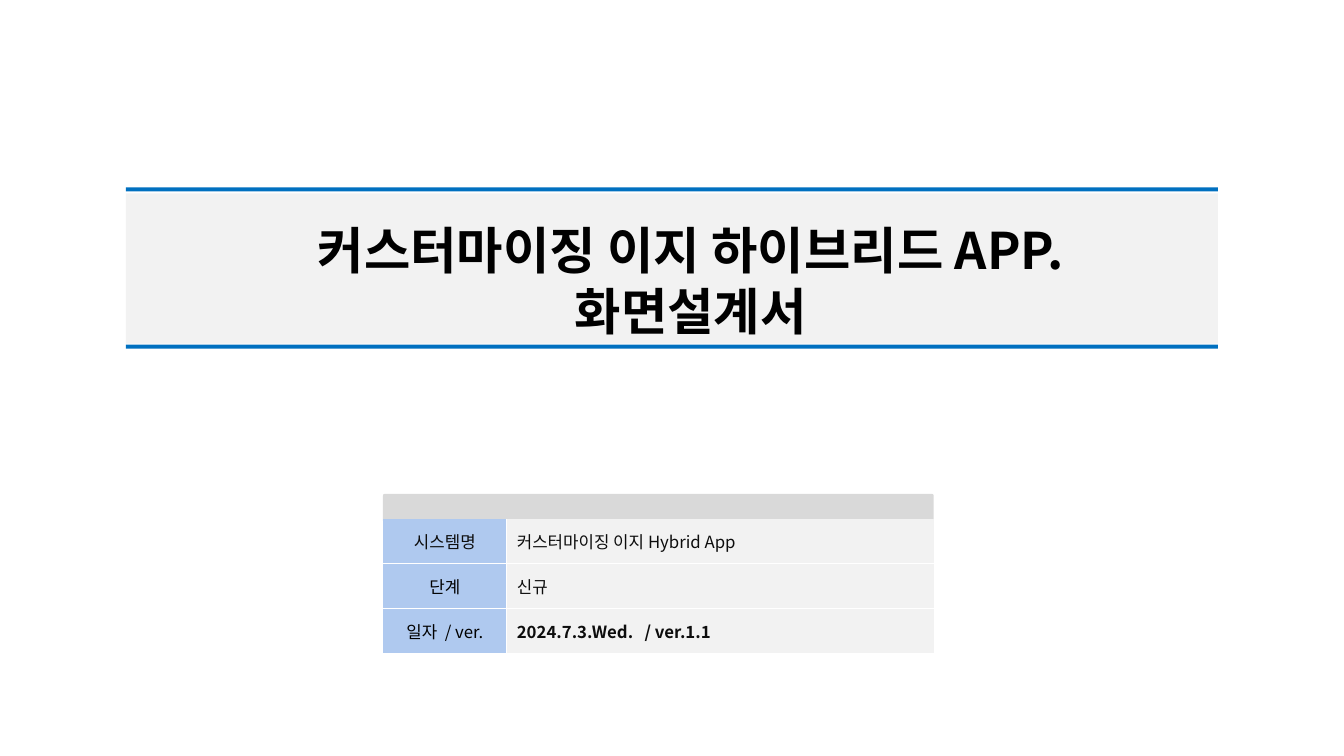
from collections import namedtuple

from lxml.etree import SubElement
from pptx import Presentation
from pptx.dml.color import RGBColor
from pptx.enum.shapes import MSO_SHAPE
from pptx.enum.text import MSO_ANCHOR, MSO_AUTO_SIZE, PP_ALIGN
from pptx.oxml.ns import qn
from pptx.util import Pt

Box = namedtuple("Box", "left top width height")

COLOURS = {
    "band": "F2F2F2",
    "rule": "0070C0",
    "header": "D9D9D9",
    "label": "AFC9EF",
    "border": "FFFFFF",
    "black": "000000",
    "dark": "0D0D0D",
}
FONT = "Noto Sans CJK KR"
TITLE_LINES = ["커스터마이징 이지 하이브리드 APP.", "화면설계서"]
DETAILS = [
    ("시스템명", "커스터마이징 이지 Hybrid App"),
    ("단계", "신규"),
    ("일자  / ver.", "2024.7.3.Wed.   / ver.1.1"),
]


def colour(name):
    return RGBColor.from_string(COLOURS[name])


def place(shape, box):
    for name, value in box._asdict().items():
        setattr(shape, name, Pt(value))


def add_block(page, kind, box, fill):
    block = page.shapes.add_shape(kind, *map(Pt, box))
    block.shadow.inherit = False
    block.fill.solid()
    block.fill.fore_color.rgb = colour(fill)
    block.line.fill.background()
    return block


def write(para, text, size, fill, bold, align):
    para.alignment = align
    span = para.add_run()
    span.text = text
    for name, value in {"name": FONT, "size": Pt(size), "bold": bold}.items():
        setattr(span.font, name, value)
    span.font.color.rgb = colour(fill)
    SubElement(span.font._element, qn("a:ea"), typeface=FONT)


def add_borders(cell, sides):
    properties = cell._tc.get_or_add_tcPr()
    for side in "LRTB":
        line = SubElement(properties, qn(f"a:ln{side}"), w=str(Pt(1)))
        if side in sides:
            fill = SubElement(line, qn("a:solidFill"))
            SubElement(fill, qn("a:srgbClr"), val=COLOURS["border"])
        else:
            SubElement(line, qn("a:noFill"))


def build_title(page, box):
    add_block(page, MSO_SHAPE.RECTANGLE, box._replace(top=box.top + 4.3, height=107.3), "band")
    for top in (box.top, box.top + box.height - 2.9):
        add_block(page, MSO_SHAPE.RECTANGLE, box._replace(top=top, height=2.9), "rule")

    title = page.shapes.title
    title._element.getparent().append(title._element)
    place(title, Box(box.left + 26.6, box.top + 18.7, box.width - 26.6, 94.3))
    frame = title.text_frame
    settings = {
        "word_wrap": True,
        "auto_size": MSO_AUTO_SIZE.NONE,
        "vertical_anchor": MSO_ANCHOR.TOP,
    }
    for name, value in settings.items():
        setattr(frame, name, value)
    for index, text in enumerate(TITLE_LINES):
        para = frame.add_paragraph() if index else frame.paragraphs[0]
        para.line_spacing = Pt(43.6)
        para.space_before = Pt(0)
        write(para, text, 36, "black", True, PP_ALIGN.CENTER)


def build_details(page, box):
    header = add_block(page, MSO_SHAPE.ROUNDED_RECTANGLE, box._replace(height=20.2), "header")
    header.adjustments[0] = 0.06

    body = box._replace(top=box.top + 18, height=box.height - 18)
    table = page.shapes.add_table(len(DETAILS), 2, *map(Pt, body)).table
    table.first_row = table.horz_banding = False
    label_width = 88.4
    for column, width in zip(table.columns, (label_width, box.width - label_width)):
        column.width = Pt(width)
    last = len(DETAILS) - 1
    for row, texts in enumerate(DETAILS):
        table.rows[row].height = Pt(body.height / len(DETAILS))
        for column, text in enumerate(texts):
            is_label = column == 0
            cell = table.cell(row, column)
            sides = ("R" if is_label else "L") + ("T" if row else "") + ("B" if row < last else "")
            add_borders(cell, sides)
            cell.fill.solid()
            cell.fill.fore_color.rgb = colour("label" if is_label else "band")
            cell.vertical_anchor = MSO_ANCHOR.MIDDLE
            write(
                cell.text_frame.paragraphs[0],
                text,
                12,
                "black" if is_label and row else "dark",
                not is_label and row == last,
                PP_ALIGN.CENTER if is_label else PP_ALIGN.LEFT,
            )


def main():
    deck = Presentation()
    deck.slide_width, deck.slide_height = Pt(960), Pt(540)
    page = deck.slides.add_slide(deck.slide_layouts[5])
    build_title(page, Box(90, 133.9, 780, 115.2))
    build_details(page, Box(273.6, 352.8, 393.4, 113.8))
    deck.save("out.pptx")


if __name__ == "__main__":
    main()
